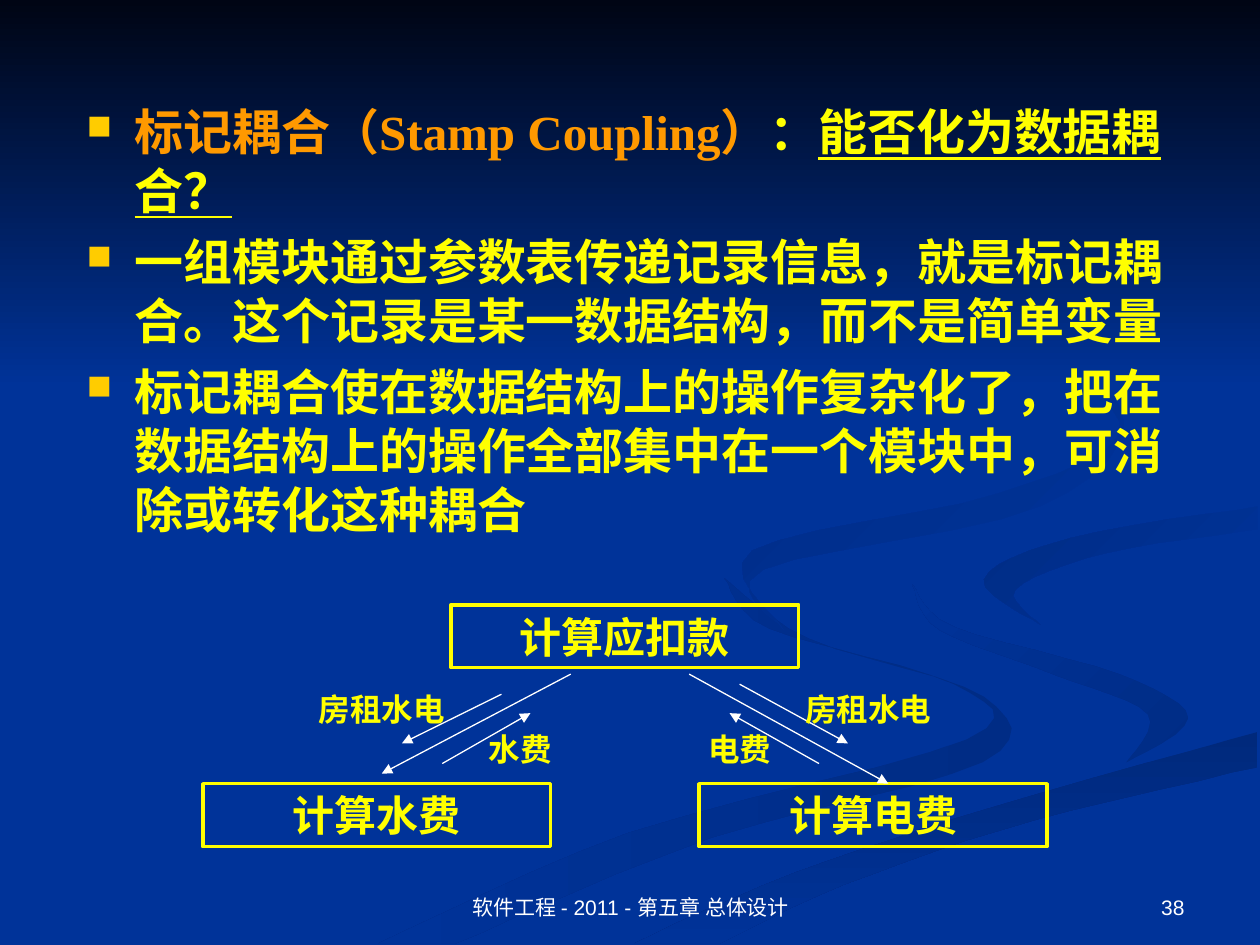
from lxml import etree
from pptx import Presentation
from pptx.dml.color import RGBColor
from pptx.enum.shapes import MSO_CONNECTOR, MSO_SHAPE
from pptx.enum.text import MSO_ANCHOR, PP_ALIGN
from pptx.oxml.ns import qn
from pptx.util import Cm, Pt

LEFT, CENTER, RIGHT = PP_ALIGN.LEFT, PP_ALIGN.CENTER, PP_ALIGN.RIGHT
MIDDLE, BOTTOM = MSO_ANCHOR.MIDDLE, MSO_ANCHOR.BOTTOM
BLUE = RGBColor(0x00, 0x33, 0x99)
NIGHT = RGBColor(0x00, 0x05, 0x14)
SHADE = RGBColor(0x00, 0x2C, 0x85)
DEEP = RGBColor(0x00, 0x29, 0x7C)
YELLOW = RGBColor(0xFF, 0xFF, 0x00)
ORANGE = RGBColor(0xFF, 0x99, 0x00)
GOLD = RGBColor(0xFF, 0xCC, 0x00)
WHITE = RGBColor(0xFF, 0xFF, 0xFF)
SERIF, SANS = "Times New Roman", "Arial"

# All positions are in grid units: 1000 across, 750 down
UNIT = Cm(0.0254)
CURVE_STEPS = 6

# Ribbons: start colour, end colour, clockwise angle, one edge, way back
RIBBONS = [
    (SHADE, BLUE, 180,
     [(575, 459), (611, 499), (757, 543), (767, 587), (499, 661), (300, 749)],
     [(361, 749), (564, 665), (780, 605), (781, 553), (642, 507), (575, 459)]),
    (SHADE, BLUE, 225,
     [(724, 464), (758, 498), (888, 535), (943, 570), (894, 605)],
     [(894, 605), (911, 567), (838, 536), (746, 500), (724, 464)]),
    (DEEP, BLUE, 90,
     [(503, 749), (630, 693), (797, 638), (998, 581)],
     [(998, 609), (821, 651), (670, 702), (571, 749)]),
    (BLUE, SHADE, 225,
     [(826, 496), (781, 460), (850, 427), (998, 402)],
     [(998, 420), (878, 439), (806, 468), (826, 496)]),
    (BLUE, SHADE, 225,
     [(762, 233), (889, 335), (791, 392), (597, 437), (622, 500)],
     [(622, 500), (606, 452), (825, 402), (890, 324), (762, 233)]),
]
BAND_HEIGHT = 308

BODY = [
    [("标记耦合（Stamp Coupling）", ORANGE, False), ("：", YELLOW, False),
     ("能否化为数据耦合？", YELLOW, True)],
    [("一组模块通过参数表传递记录信息，就是标记耦合。"
      "这个记录是某一数据结构，而不是简单变量", YELLOW, False)],
    [("标记耦合使在数据结构上的操作复杂化了，把在数据结构上的操作"
      "全部集中在一个模块中，可消除或转化这种耦合", YELLOW, False)],
]

MODULES = [("计算应扣款", 358, 480), ("计算水费", 161, 622), ("计算电费", 555, 622)]
MODULE_SIZE = (276, 50)
ARROWS = [
    (453, 535, 303, 614), (547, 535, 705, 622), (398, 551, 319, 590),
    (587, 543, 673, 590), (650, 606, 579, 566), (351, 606, 421, 566),
]
# Text, box, size, font, colour, bold, alignment, anchor
FLOW_STYLE = (18, SERIF, YELLOW, True, CENTER, MIDDLE)
FOOTER_STYLE = (12, SANS, WHITE, False)
LABELS = [
    ("房租水电", (232, 543, 142, 40), *FLOW_STYLE),
    ("水费", (358, 574, 110, 40), *FLOW_STYLE),
    ("电费", (532, 574, 110, 40), *FLOW_STYLE),
    ("房租水电", (618, 543, 142, 40), *FLOW_STYLE),
    ("软件工程 - 2011 - 第五章 总体设计", (342, 683, 317, 52),
     *FOOTER_STYLE, CENTER, BOTTOM),
    ("38", (717, 683, 233, 52), *FOOTER_STYLE, RIGHT, BOTTOM),
]


def place(*values):
    return [value * UNIT for value in values]


def smooth_edge(points):
    """Join the points by a Catmull-Rom curve."""
    padded = [points[0], *points, points[-1]]
    curve = []
    for a, b, c, d in zip(padded, padded[1:], padded[2:], padded[3:]):
        for step in range(CURVE_STEPS):
            t = step / CURVE_STEPS
            curve.append(tuple(
                q + t * (r - p + t * (2 * p - 5 * q + 4 * r - s
                                      + t * (3 * (q - r) + s - p))) / 2
                for p, q, r, s in zip(a, b, c, d)))
    return curve + [points[-1]]


def shade(shape, start, end, angle):
    shape.shadow.inherit = False
    shape.line.fill.background()
    shape.fill.gradient()
    shape.fill.gradient_angle = 360 - angle
    for stop, color in zip(shape.fill.gradient_stops, (start, end)):
        stop.color.rgb = color


def style(font, size, name, color, bold):
    font.size, font.name, font.bold = Pt(size), name, bold
    font.color.rgb = color


def write(shape, text, size, name, color, bold, align, anchor):
    frame = shape.text_frame
    frame.word_wrap = True
    frame.vertical_anchor = anchor
    frame.text = text
    para = frame.paragraphs[0]
    para.alignment = align
    style(para.runs[0].font, size, name, color, bold)


def add_bullet(para):
    properties = para._p.get_or_add_pPr()
    properties.set("marL", str(38 * UNIT))
    properties.set("indent", str(-38 * UNIT))
    color = etree.SubElement(properties, qn("a:buClr"))
    etree.SubElement(color, qn("a:srgbClr"), val=str(GOLD))
    etree.SubElement(properties, qn("a:buSzPct"), val="70000")
    etree.SubElement(properties, qn("a:buChar"), char="■")


deck = Presentation()
deck.slide_width, deck.slide_height = place(1000, 750)
page = deck.slides.add_slide(deck.slide_layouts[6])
page.background.fill.solid()
page.background.fill.fore_color.rgb = BLUE
shapes = page.shapes

# Background ribbons and the dark band at the top
for start, end, angle, edge, way_back in RIBBONS:
    outline = smooth_edge(edge) + smooth_edge(way_back)
    builder = shapes.build_freeform(*outline[0], scale=UNIT)
    builder.add_line_segments(outline[1:], close=True)
    shade(builder.convert_to_shape(), start, end, angle)
band = shapes.add_shape(MSO_SHAPE.RECTANGLE, *place(0, 0, 1000, BAND_HEIGHT))
shade(band, NIGHT, BLUE, 90)

# Bulleted body text
body = shapes.add_textbox(*place(59, 76, 900, 402)).text_frame
body.word_wrap = True
for index, spans in enumerate(BODY):
    para = body.add_paragraph() if index else body.paragraphs[0]
    add_bullet(para)
    para.alignment = LEFT
    para.space_before = Pt(7 if index else 0)
    for text, color, underline in spans:
        span = para.add_run()
        span.text = text
        style(span.font, 28, SERIF, color, True)
        span.font.underline = underline

# Module boxes
for text, left, top in MODULES:
    box = shapes.add_shape(MSO_SHAPE.RECTANGLE, *place(left, top, *MODULE_SIZE))
    box.shadow.inherit = False
    box.fill.background()
    box.line.color.rgb = YELLOW
    box.line.width = Pt(2)
    write(box, text, 24, SERIF, YELLOW, True, CENTER, MIDDLE)

# Call and data-flow arrows
for ends in ARROWS:
    arrow = shapes.add_connector(MSO_CONNECTOR.STRAIGHT, *place(*ends))
    arrow.line.color.rgb = WHITE
    arrow.line.width = Pt(0.75)
    etree.SubElement(arrow.line._get_or_add_ln(), qn("a:tailEnd"), type="triangle")
    etree.SubElement(arrow._element.spPr, qn("a:effectLst"))

# Flow labels, footer and page number
for text, bounds, *look in LABELS:
    write(shapes.add_textbox(*place(*bounds)), text, *look)

deck.save("out.pptx")
